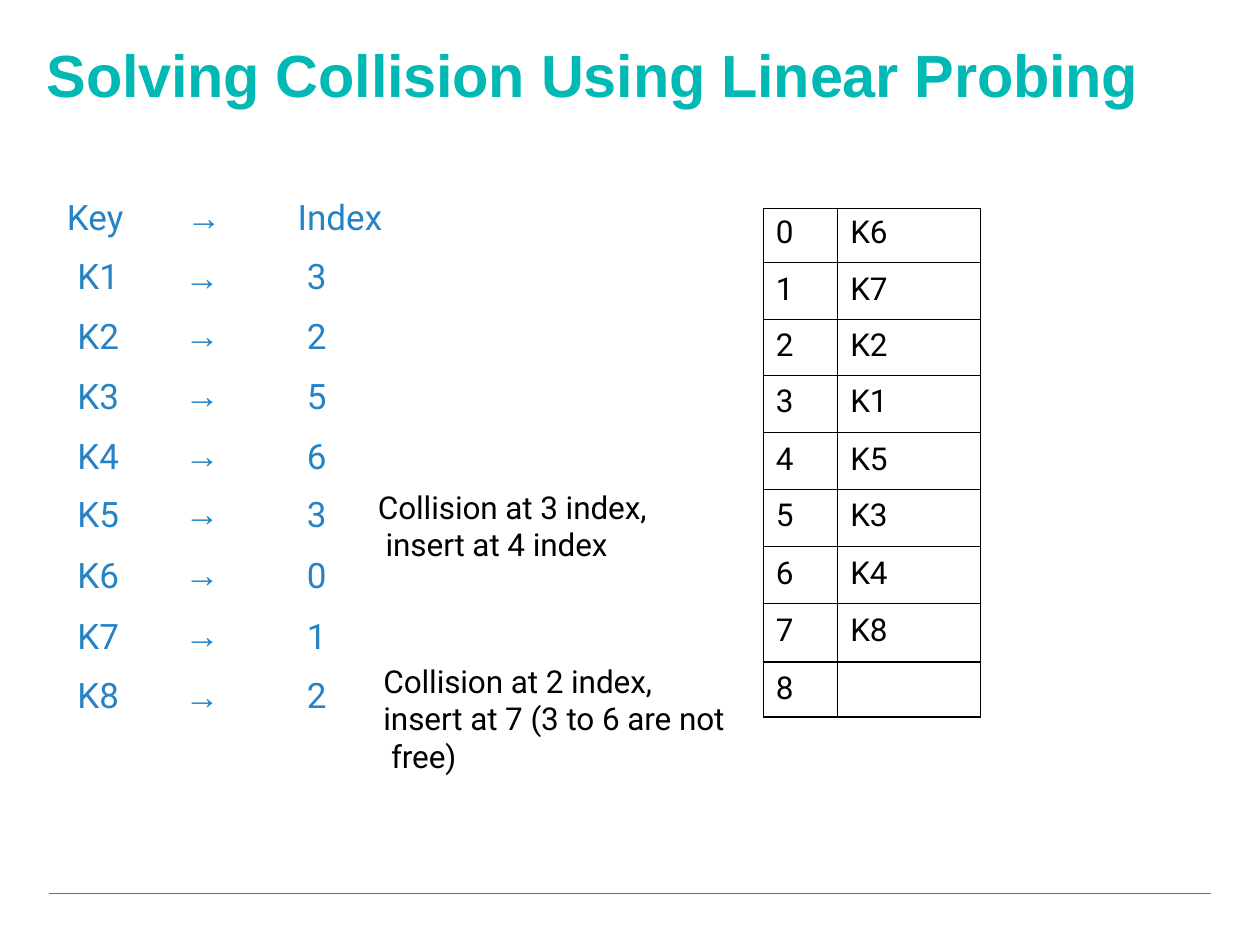
from dataclasses import dataclass

from pptx import Presentation
from pptx.dml.color import RGBColor
from pptx.enum.shapes import MSO_CONNECTOR as Connector
from pptx.enum.text import MSO_AUTO_SIZE as AutoSize, PP_ALIGN as Align
from pptx.oxml.xmlchemy import OxmlElement
from pptx.util import Cm, Pt

TEAL, BLUE, BLACK = "00B8B4", "2583C5", "000000"
ARROW = "→"


@dataclass(frozen=True)
class KeyEntry:
    key: str
    index: str
    space_before: float
    line_spacing: float | None = None


@dataclass(frozen=True)
class KeyRow:
    height: float
    margin_top: float
    entries: tuple[KeyEntry, ...]


@dataclass(frozen=True)
class Bucket:
    key: str
    height: float
    margin_top: float = 0.17
    space_before: float = 4.8


@dataclass(frozen=True)
class Label:
    text: str
    left: float
    top: float
    width: float
    height: float
    size: float
    color: str
    font: str = "Roboto"
    bold: bool = False
    spacing: float = 0


KEY_ROWS = (
    KeyRow(1, 0, (KeyEntry("K1", "3", 0, 22.1),)),
    KeyRow(1.21, 0.15, (KeyEntry("K2", "2", 4.1),)),
    KeyRow(1.21, 0.15, (KeyEntry("K3", "5", 4.2),)),
    KeyRow(2.2, 0.15, (KeyEntry("K4", "6", 4.2), KeyEntry("K5", "3", 10.3, 23.2))),
    KeyRow(1.43, 0.36, (KeyEntry("K6", "0", 10.2),)),
    KeyRow(1.21, 0.15, (KeyEntry("K7", "1", 4.2),)),
    KeyRow(1, 0.15, (KeyEntry("K8", "2", 4.1, 23.2),)),
)
BUCKETS = (
    Bucket("K6", 1.09, 0.11, 3.1),
    Bucket("K7", 1.15),
    Bucket("K2", 1.13, 0.15, 4.3),
    Bucket("K1", 1.15, 0.15, 4.4),
    Bucket("K5", 1.15),
    Bucket("K3", 1.15, 0.15, 4.3),
    Bucket("K4", 1.15),
    Bucket("K8", 1.17),
    Bucket("", 1.11),
)
KEY_HEADING = Label("Key\t", 1.32, 3.91, 3.15, 0.91, 20, BLUE)
LABELS = (
    Label("Solving Collision Using Linear Probing", 0.91, 0.74, 22.25, 1.5,
          34, TEAL, "Arial", True, -0.1),
    Label("Index", 5.97, 3.91, 1.8, 0.91, 20, BLUE),
    Label("Collision at 3 index,\v insert at 4 index",
          7.59, 9.8, 5.56, 1.6, 18, BLACK, spacing=-0.06),
    Label("Collision at 2 index,\vinsert at 7 (3 to 6 are not\v free)",
          7.7, 13.31, 7.1, 2.36, 18, BLACK, spacing=-0.06),
)


def rgb(value: str) -> RGBColor:
    return RGBColor.from_string(value)


def write_text(paragraph, text: str, *, size: float, color: str, font: str = "Roboto",
               bold: bool = False, spacing: float = 0, align=Align.LEFT,
               space_before: float = 0, line_spacing: float | None = None) -> None:
    paragraph.alignment = align
    paragraph.space_before = Pt(space_before)
    if line_spacing:
        paragraph.line_spacing = Pt(line_spacing)
    for number, line in enumerate(text.split("\v")):
        if number:
            paragraph.add_line_break()
        run = paragraph.add_run()
        run.text = line
        run.font.name = font
        run.font.size = Pt(size)
        run.font.bold = bold
        run.font.color.rgb = rgb(color)
        if spacing:
            run._r.get_or_add_rPr().set("spc", str(round(spacing * 100)))


def add_label(slide, label: Label):
    shape = slide.shapes.add_textbox(
        Cm(label.left), Cm(label.top), Cm(label.width), Cm(label.height))
    frame = shape.text_frame
    frame.word_wrap = True
    frame.auto_size = AutoSize.SHAPE_TO_FIT_TEXT
    frame.margin_left = frame.margin_top = Cm(0.03)
    frame.margin_right = frame.margin_bottom = 0
    paragraph = frame.paragraphs[0]
    write_text(paragraph, label.text, size=label.size, color=label.color, font=label.font,
               bold=label.bold, spacing=label.spacing, space_before=1)
    return paragraph


def add_key_heading(slide) -> None:
    paragraph = add_label(slide, KEY_HEADING)
    write_text(paragraph, ARROW, size=20, color=BLUE, font="Arial", space_before=1)
    tabs = OxmlElement("a:tabLst")
    tab = OxmlElement("a:tab")
    tab.set("pos", str(Cm(2.41)))
    tab.set("algn", "l")
    tabs.append(tab)
    paragraph._p.get_or_add_pPr().append(tabs)


def add_grid(slide, left: float, top: float, widths: tuple, heights: list):
    table = slide.shapes.add_table(
        len(heights), len(widths), Cm(left), Cm(top),
        Cm(sum(widths)), Cm(sum(heights))).table
    table.first_row = table.horz_banding = False
    for column, width in zip(table.columns, widths):
        column.width = Cm(width)
    for row, height in zip(table.rows, heights):
        row.height = Cm(height)
    for cell in table.iter_cells():
        cell.fill.background()
        cell.margin_left = cell.margin_right = cell.margin_top = cell.margin_bottom = 0
    return table


def add_borders(cell, color: str, width: float) -> None:
    properties = cell._tc.get_or_add_tcPr()
    for position, side in enumerate(("lnL", "lnR", "lnT", "lnB")):
        line = OxmlElement(f"a:{side}")
        line.set("w", str(Pt(width)))
        fill = OxmlElement("a:solidFill")
        shade = OxmlElement("a:srgbClr")
        shade.set("val", color)
        fill.append(shade)
        line.append(fill)
        properties.insert(position, line)


def add_key_table(slide) -> None:
    table = add_grid(slide, 1.48, 5.23, (1.6, 2.21, 1.35), [row.height for row in KEY_ROWS])
    for row_number, row in enumerate(KEY_ROWS):
        cells = [table.cell(row_number, column) for column in range(3)]
        for cell, margin in zip(cells, (0.08, 0.64, 0)):
            cell.margin_left = Cm(margin)
            cell.margin_top = Cm(row.margin_top)
        cells[2].margin_right = Cm(0.06)
        for number, entry in enumerate(row.entries):
            for cell, text, font, align in zip(
                    cells, (entry.key, ARROW, entry.index), ("Roboto", "Arial", "Roboto"),
                    (Align.LEFT, Align.LEFT, Align.RIGHT)):
                frame = cell.text_frame
                paragraph = frame.add_paragraph() if number else frame.paragraphs[0]
                write_text(paragraph, text, size=20, color=BLUE, font=font, align=align,
                           space_before=entry.space_before, line_spacing=entry.line_spacing)


def add_hash_table(slide) -> None:
    table = add_grid(slide, 15.39, 4.21, (1.5, 2.87), [bucket.height for bucket in BUCKETS])
    for number, bucket in enumerate(BUCKETS):
        for column, text in enumerate((str(number), bucket.key)):
            cell = table.cell(number, column)
            add_borders(cell, BLACK, 0.75)
            cell.margin_left = Cm(0.25)
            cell.margin_top = Cm(bucket.margin_top)
            if text:
                write_text(cell.text_frame.paragraphs[0], text, size=18, color=BLACK,
                           spacing=-0.1 * column, space_before=bucket.space_before)


def add_footer_line(slide) -> None:
    line = slide.shapes.add_connector(Connector.STRAIGHT, Cm(0.99), Cm(18.01), Cm(24.41), Cm(18.01))
    line.line.color.rgb = rgb(BLUE)
    line.line.width = Pt(0.25)
    line._element.spPr.append(OxmlElement("a:effectLst"))


def main() -> None:
    presentation = Presentation()
    presentation.slide_width, presentation.slide_height = Cm(25.4), Cm(19.05)
    slide = presentation.slides.add_slide(presentation.slide_layouts[6])
    add_footer_line(slide)
    add_key_heading(slide)
    add_key_table(slide)
    add_hash_table(slide)
    for label in LABELS:
        add_label(slide, label)
    presentation.save("out.pptx")


if __name__ == "__main__":
    main()
